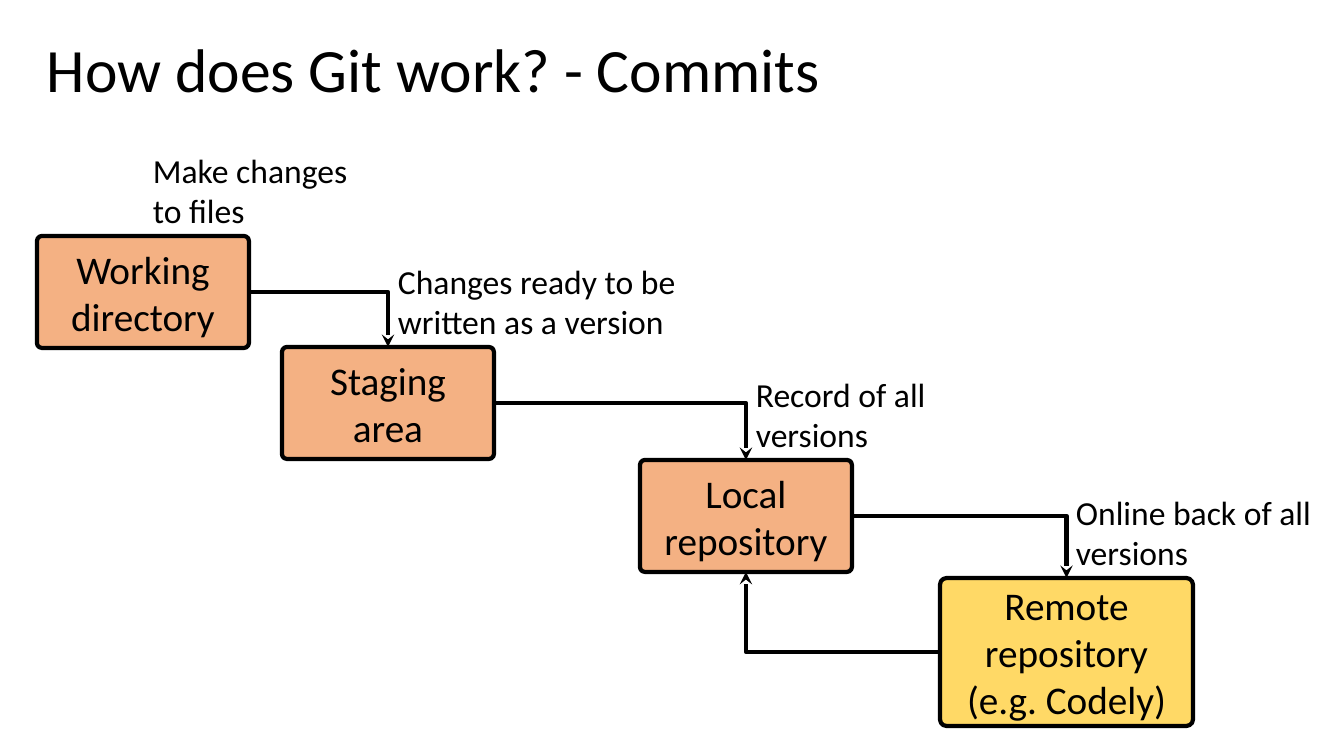
import pptx
import pptx.util
import pptx.dml.color
import pptx.enum.shapes
import pptx.enum.text
import pptx.oxml
import pptx.oxml.ns

PX = 914400 / 100.8
BLACK, ORANGE, YELLOW = "000000", "F4B183", "FFD966"
TOP, LEFT, BOTTOM, RIGHT = range(4)  # connection sites of a box
ANCHOR = pptx.enum.text.MSO_ANCHOR
ALIGN = pptx.enum.text.PP_ALIGN


def color(value):
    return pptx.dml.color.RGBColor.from_string(value)


def write(shape, text, size, anchor, alignment):
    text_frame = shape.text_frame
    text_frame.word_wrap = True
    text_frame.vertical_anchor = anchor
    text_frame.text = text
    paragraph = text_frame.paragraphs[0]
    paragraph.alignment = alignment
    font = paragraph.runs[0].font
    font.name = "Calibri"
    font.size = pptx.util.Pt(size)
    font.color.rgb = color(BLACK)
    return text_frame


presentation = pptx.Presentation()
presentation.slide_width = round(1344 * PX)
presentation.slide_height = round(756 * PX)
slide = presentation.slides.add_slide(presentation.slide_layouts[6])

# Title
title = slide.shapes.add_textbox(*[round(n * PX) for n in (37, 0, 1159, 146)])
text_frame = write(title, "How does Git work? - Commits", 44, ANCHOR.MIDDLE, ALIGN.LEFT)
text_frame.paragraphs[0].line_spacing = 0.9

# Stages: name, left, top, width, height, fill, label, label width
stages = [
    ("Working directory", 37, 236, 212, 112, ORANGE, "Make changes to files", 246),
    ("Staging area", 282, 347, 212, 112, ORANGE, "Changes ready to be written as a version", 359),
    ("Local repository", 640, 460, 212, 112, ORANGE, "Record of all versions", 301),
    ("Remote repository (e.g. Codely)", 940, 578, 253, 148, YELLOW, "Online back of all versions", 277),
]
boxes = []
for name, left, top, width, height, fill, label, label_width in stages:
    box = slide.shapes.add_shape(
        pptx.enum.shapes.MSO_SHAPE.ROUNDED_RECTANGLE,
        *[round(n * PX) for n in (left, top, width, height)])
    box.adjustments[0] = 0.045
    box.shadow.inherit = False
    box.fill.solid()
    box.fill.fore_color.rgb = color(fill)
    box.line.color.rgb = color(BLACK)
    box.line.width = pptx.util.Pt(3)
    text_frame = write(box, name, 28, ANCHOR.MIDDLE, ALIGN.CENTER)
    text_frame.margin_left = text_frame.margin_right = round(9 * PX)
    text_frame.margin_top = text_frame.margin_bottom = round(4 * PX)
    boxes.append(box)

    # The label starts at the middle of its box and sits on top of it
    caption = slide.shapes.add_textbox(
        *[round(n * PX) for n in (left + width // 2, top - 91, label_width, 92)])
    write(caption, label, 24, ANCHOR.TOP, ALIGN.LEFT)

# Arrows down the stages, and one back from remote to local
working, staging, local, remote = boxes
arrows = [
    (working, RIGHT, staging, TOP),
    (staging, RIGHT, local, TOP),
    (local, RIGHT, remote, TOP),
    (remote, LEFT, local, BOTTOM),
]
for source, source_site, target, target_site in arrows:
    arrow = slide.shapes.add_connector(pptx.enum.shapes.MSO_CONNECTOR.ELBOW, 0, 0, 0, 0)
    arrow.begin_connect(source, source_site)
    arrow.end_connect(target, target_site)
    arrow.line.color.rgb = color(BLACK)
    arrow.line.width = pptx.util.Pt(3)
    properties = arrow._element.spPr
    properties.find(pptx.oxml.ns.qn("a:prstGeom")).set("prst", "bentConnector2")
    line = properties.find(pptx.oxml.ns.qn("a:ln"))
    head = pptx.oxml.parse_xml(
        f'<a:tailEnd {pptx.oxml.ns.nsdecls("a")} type="stealth"/>')
    line.append(head)
    properties.append(pptx.oxml.parse_xml(f'<a:effectLst {pptx.oxml.ns.nsdecls("a")}/>'))

presentation.save("out.pptx")
